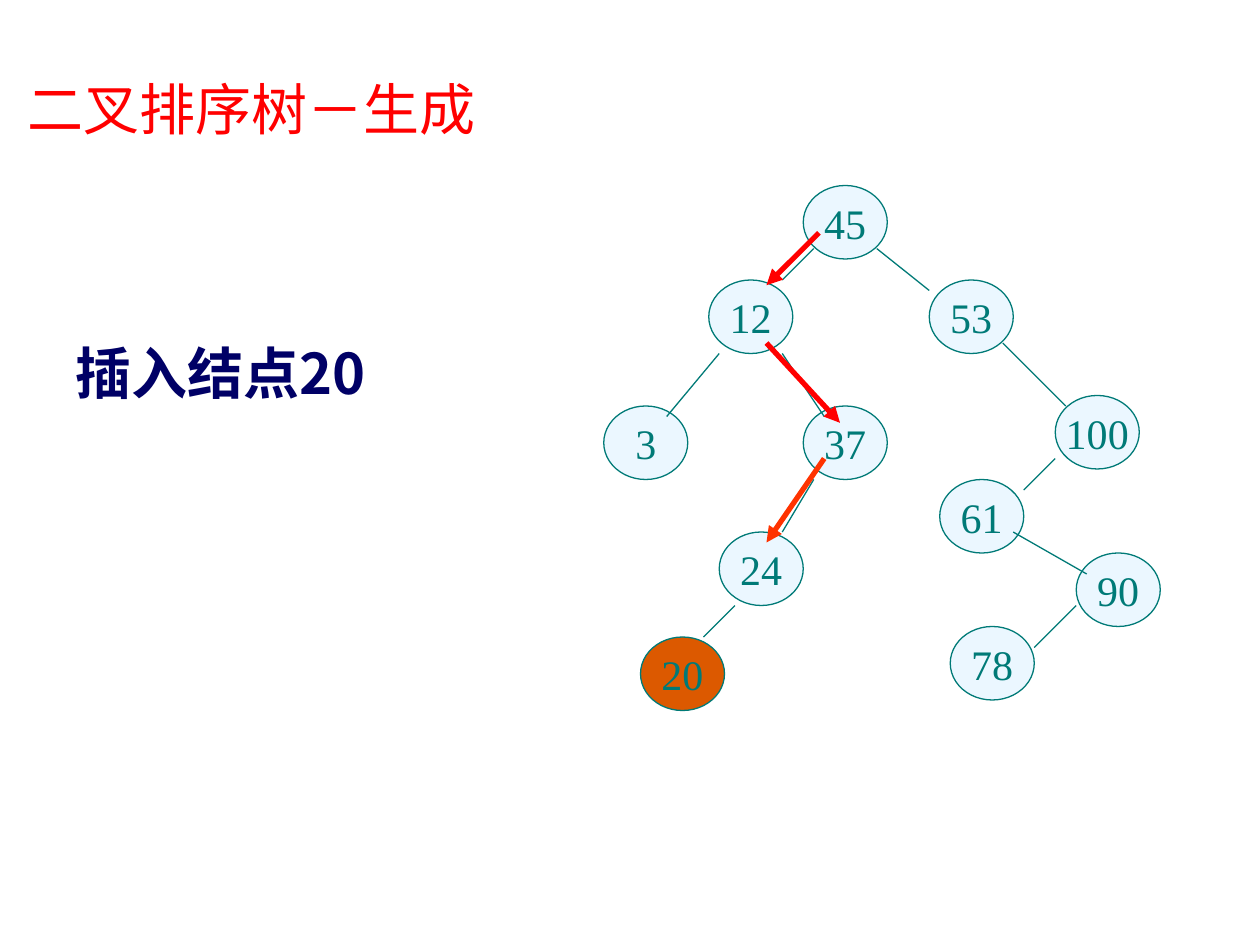
from lxml.etree import SubElement
from pptx import Presentation
from pptx.dml.color import RGBColor
from pptx.enum.shapes import MSO_CONNECTOR, MSO_SHAPE
from pptx.enum.text import MSO_ANCHOR, PP_ALIGN
from pptx.oxml.ns import qn
from pptx.util import Inches, Pt

COLORS = {"teal": "007A77", "pale": "EBF7FF", "new": "DC5900",
          "red": "FF0000", "flame": "FF3300", "navy": "000066"}
CELL = 1 / 12
LEFT, TOP = 0.5, -0.33
NODE = 8, 7


class Board:
    latin = "Times New Roman"
    han = "Noto Sans CJK SC"

    def __init__(self, slide):
        self.slide = slide

    def color(self, name):
        return RGBColor.from_string(COLORS[name])

    def spot(self, col, row):
        return Inches((col + LEFT) * CELL), Inches((row + TOP) * CELL)

    def style(self, frame, text, face, size, color, bold=False):
        frame.text = text
        for run in frame.paragraphs[0].runs:
            font = run.font
            font.name, font.size, font.bold = face, Pt(size), bold
            font.color.rgb = self.color(color)
            SubElement(run._r.get_or_add_rPr(), qn("a:ea"), typeface=face)

    def node(self, text, col, row, fill="pale"):
        size = [Inches(side * CELL) for side in NODE]
        shape = self.slide.shapes.add_shape(
            MSO_SHAPE.OVAL, *self.spot(col, row), *size)
        shape.shadow.inherit = False
        shape.fill.solid()
        shape.fill.fore_color.rgb = self.color(fill)
        shape.line.color.rgb = self.color("teal")
        shape.line.width = Pt(0.75)
        frame = shape.text_frame
        frame.word_wrap = False
        frame.vertical_anchor = MSO_ANCHOR.MIDDLE
        self.style(frame, text, self.latin, 24, "teal")
        frame.paragraphs[0].alignment = PP_ALIGN.CENTER

    def edge(self, start, end, color="teal", width=0.75):
        line = self.slide.shapes.add_connector(
            MSO_CONNECTOR.STRAIGHT, *self.spot(*start), *self.spot(*end))
        line.line.color.rgb = self.color(color)
        line.line.width = Pt(width)
        SubElement(line._element.spPr, qn("a:effectLst"))
        return line

    def arrow(self, start, end, color):
        line = self.edge(start, end, color, 3)
        SubElement(line.line._get_or_add_ln(), qn("a:tailEnd"), type="triangle")

    def label(self, text, box, color, bold=False, anchor=MSO_ANCHOR.TOP):
        frame = self.slide.shapes.add_textbox(*map(Inches, box)).text_frame
        frame.word_wrap = True
        frame.vertical_anchor = anchor
        self.style(frame, text, self.han, 32, color, bold)


def main():
    deck = Presentation()
    deck.slide_width, deck.slide_height = Inches(10), Inches(7.5)
    board = Board(deck.slides.add_slide(deck.slide_layouts[6]))

    nodes = [("45", 76, 18), ("12", 67, 27), ("53", 88, 27),
             ("3", 57, 39), ("37", 76, 39), ("24", 68, 51),
             ("100", 100, 38), ("61", 89, 46), ("90", 102, 53),
             ("78", 90, 60), ("20", 60.5, 61, "new")]
    for node in nodes:
        board.node(*node)

    edges = [((77, 24), (74, 27)), ((68, 34), (63, 40)),
             ((74, 34), (78, 40)), ((77, 46), (74, 51)),
             ((83, 24), (88, 28)), ((95, 33), (101, 39)),
             ((100, 44), (97, 47)), ((96, 51), (103, 55)),
             ((102, 58), (98, 62)), ((69.5, 58), (66.5, 61))]
    for edge in edges:
        board.edge(*edge)

    steps = [((77.5, 22.5), (72.5, 27.5), "red"),
             ((72.5, 33), (79.5, 40.6), "red"),
             ((78, 44), (72.5, 52), "flame")]
    for step in steps:
        board.arrow(*step)

    board.label("插入结点20", (0.5, 2.64, 2.84, 0.64), "navy", True)
    board.label("二叉排序树－生成", (0.12, 0.58, 5.9, 0.56), "red",
                anchor=MSO_ANCHOR.MIDDLE)
    deck.save("out.pptx")


if __name__ == "__main__":
    main()
